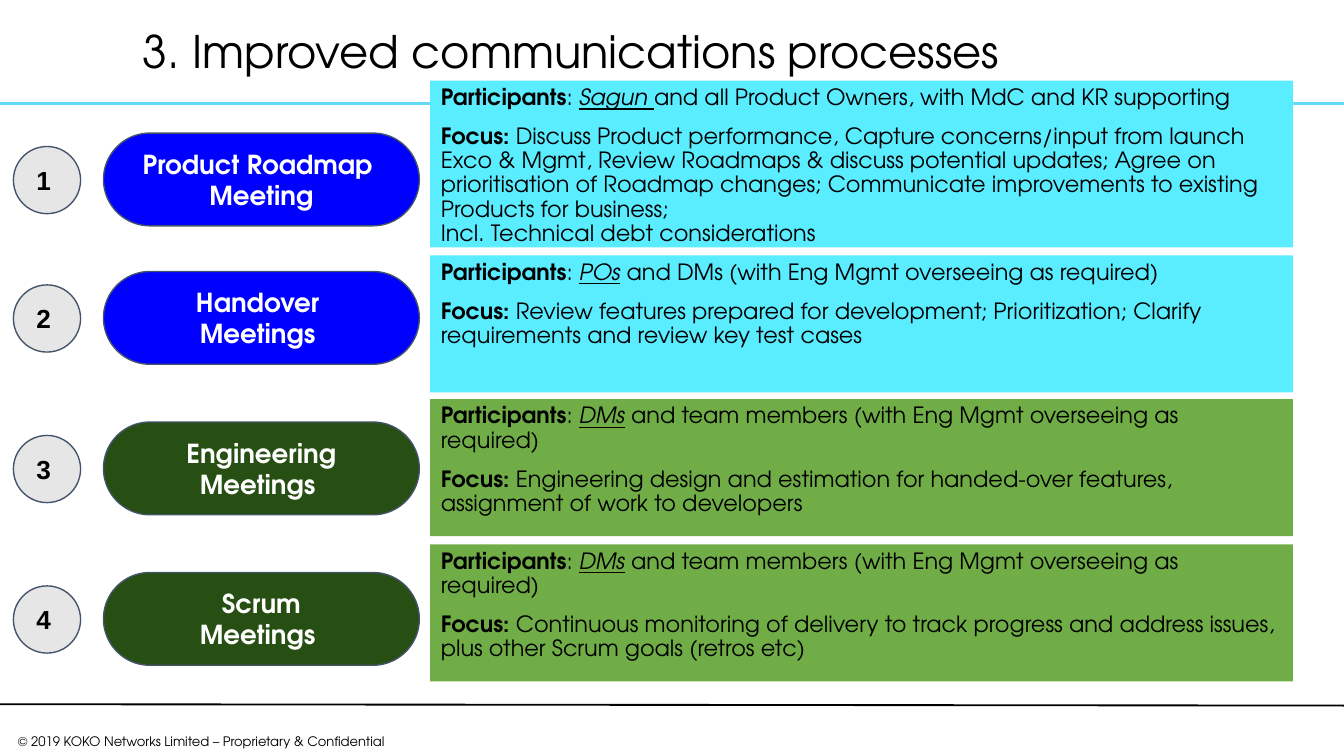
from pptx import Presentation
from pptx.dml.color import RGBColor as Rgb
from pptx.enum.shapes import MSO_CONNECTOR as Connector, MSO_SHAPE as Shape
from pptx.enum.text import MSO_ANCHOR as Anchor, MSO_AUTO_SIZE as AutoSize, PP_ALIGN as Align
from pptx.oxml.ns import qn
from pptx.util import Inches, Pt
from lxml.etree import SubElement

FONT = "TeX Gyre Adventor"
COLORS = {
    "black": "000000", "white": "FFFFFF", "rule": "65D9F8", "outline": "44546A",
    "badge": "E7E6E6", "cyan": "5AECFF", "blue": "0000FF",
    "green": "70AD47", "forest": "274E13",
}
TITLE = "3. Improved communications processes"
COPYRIGHT = "© 2019 KOKO Networks Limited – Proprietary & Confidential "
RULES = [
    ((0, 0.77), (10.01, 0.77), "rule", 1.5),
    ((0, 5.24), (10, 5.25), "black", 1),
]
TEAM = " and team members (with Eng Mgmt overseeing as required)"
MEETINGS = [
    {"name": ["Product Roadmap \nMeeting"], "pill": "blue", "panel": "cyan",
     "pill_top": 0.99, "panel_top": 0.6, "panel_height": 1.24,
     "lead": "Sagun ", "others": "and all Product Owners, with MdC and KR supporting",
     "focus": "Discuss Product performance, Capture concerns/input from launch Exco & Mgmt, "
              "Review Roadmaps & discuss potential updates; Agree on prioritisation of Roadmap "
              "changes; Communicate improvements to existing Products for business;\n"
              "Incl. Technical debt considerations"},
    {"name": ["Handover ", "Meetings "], "pill": "blue", "panel": "cyan",
     "pill_top": 2.02, "panel_top": 1.9, "panel_height": 1.02,
     "lead": "POs", "others": " and DMs (with Eng Mgmt overseeing as required)",
     "focus": "Review features prepared for development; Prioritization; "
              "Clarify requirements and review key test cases"},
    {"name": ["Engineering", "Meetings "], "pill": "forest", "panel": "green",
     "pill_top": 3.14, "panel_top": 2.97, "panel_height": 1.02,
     "lead": "DMs", "others": TEAM,
     "focus": "Engineering design and estimation for handed-over features, "
              "assignment of work to developers"},
    {"name": ["Scrum", "Meetings "], "pill": "forest", "panel": "green",
     "pill_top": 4.26, "panel_top": 4.05, "panel_height": 1.02,
     "lead": "DMs", "others": TEAM,
     "focus": "Continuous monitoring of delivery to track progress and address issues, "
              "plus other Scrum goals (retros etc)"},
]
PILL_HEIGHT, BADGE_SIZE, BADGE_DROP = 0.69, 0.5, 0.1


def color(name):
    return Rgb.from_string(COLORS[name])


def place(box, left, top, width, height):
    box.left, box.top, box.width, box.height = map(Inches, (left, top, width, height))


def set_frame(box, anchor, side, edge):
    frame = box.text_frame
    frame.word_wrap = True
    frame.auto_size = AutoSize.NONE
    frame.vertical_anchor = anchor
    frame.margin_left = frame.margin_right = Inches(side)
    frame.margin_top = frame.margin_bottom = Inches(edge)
    return frame


def add_text(para, text, size, ink="black", font=FONT, bold=False, marked=False):
    for index, part in enumerate(text.split("\n")):
        if index:
            para.add_line_break()
        span = para.add_run()
        span.text = part
        span.font.name, span.font.size = font, Pt(size)
        span.font.bold = bold
        span.font.italic = span.font.underline = marked
        span.font.color.rgb = color(ink)


def write_lines(frame, lines, align, **style):
    for index, line in enumerate(lines):
        para = frame.add_paragraph() if index else frame.paragraphs[0]
        para.alignment = align
        add_text(para, line, 14, bold=True, **style)


def add_outlined(page, kind, fill, *area):
    shape = page.shapes.add_shape(kind, *map(Inches, area))
    shape.shadow.inherit = False
    shape.fill.solid()
    shape.fill.fore_color.rgb = color(fill)
    shape.line.color.rgb = color("outline")
    shape.line.width = Pt(0.75)
    return shape, set_frame(shape, Anchor.MIDDLE, 0.1, 0.1)


def fill_panel(panel, meeting):
    place(panel, 3.2, meeting["panel_top"], 6.42, meeting["panel_height"])
    panel.fill.solid()
    panel.fill.fore_color.rgb = color(meeting["panel"])
    frame = set_frame(panel, Anchor.TOP, 0.08, 0.04)
    paras = [frame.paragraphs[0], frame.add_paragraph()]
    for para, space in zip(paras, (0, 8)):
        props = para._p.get_or_add_pPr()
        props.set("marL", "0")
        props.set("indent", "0")
        SubElement(props, qn("a:buNone"))
        para.alignment = Align.LEFT
        para.line_spacing = 0.9
        para.space_before = Pt(space)
    add_text(paras[0], "Participants", 12, bold=True)
    add_text(paras[0], ": ", 12)
    add_text(paras[0], meeting["lead"], 12, marked=True)
    add_text(paras[0], meeting["others"], 12)
    add_text(paras[1], "Focus: ", 12, bold=True)
    add_text(paras[1], meeting["focus"], 12)


def main():
    deck = Presentation()
    deck.slide_width = Inches(10)
    deck.slide_height = deck.slide_width * 9 // 16
    page = deck.slides.add_slide(deck.slide_layouts.get_by_name("Comparison"))
    title, *panels = page.placeholders

    for start, end, ink, width in RULES:
        rule = page.shapes.add_connector(Connector.STRAIGHT, *map(Inches, start + end))
        rule.line.color.rgb = color(ink)
        rule.line.width = Pt(width)
        SubElement(rule._element.spPr, qn("a:effectLst"))
        title._element.addprevious(rule._element)

    place(title, 0.98, 0.08, 8.64, 0.64)
    para = set_frame(title, Anchor.MIDDLE, 0.08, 0.04).paragraphs[0]
    para.alignment = Align.LEFT
    para.line_spacing = 0.9
    add_text(para, TITLE, 24)

    footer = page.shapes.add_textbox(*map(Inches, (0, 5.42, 3.02, 0.21)))
    para = set_frame(footer, Anchor.TOP, 0.07, 0.04).paragraphs[0]
    para.alignment = Align.CENTER
    add_text(para, COPYRIGHT, 7)

    for number, (panel, meeting) in enumerate(zip(panels, MEETINGS), 1):
        fill_panel(panel, meeting)
        top = meeting["pill_top"]
        pill, frame = add_outlined(page, Shape.ROUNDED_RECTANGLE, meeting["pill"],
                                   0.77, top, 2.35, PILL_HEIGHT)
        pill.adjustments[0] = 0.5
        write_lines(frame, meeting["name"], Align.CENTER, ink="white")
        badge, frame = add_outlined(page, Shape.OVAL, "badge",
                                    0.1, top + BADGE_DROP, BADGE_SIZE, BADGE_SIZE)
        write_lines(frame, [str(number)], Align.LEFT, font="Arial")

    deck.save("out.pptx")


if __name__ == "__main__":
    main()
